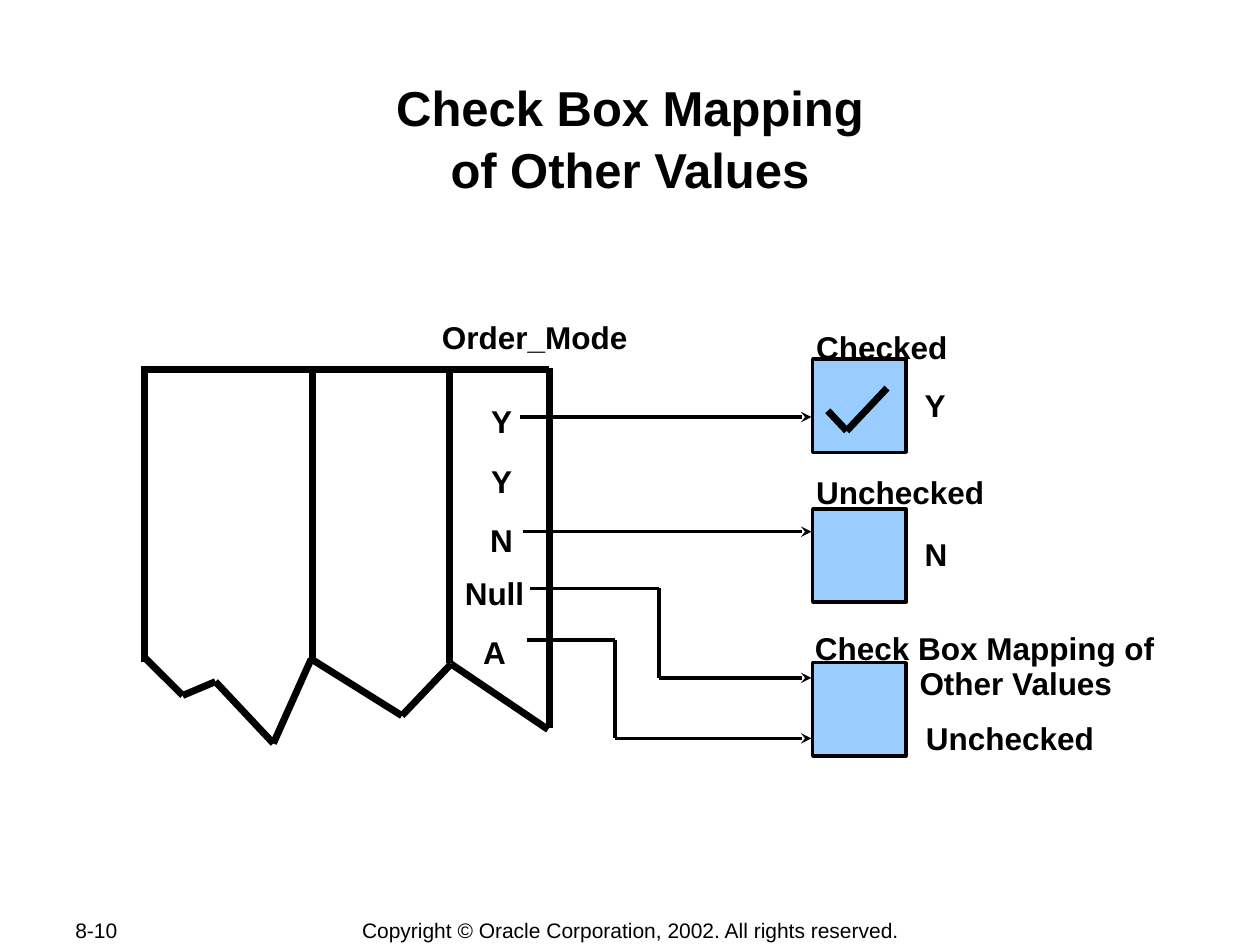
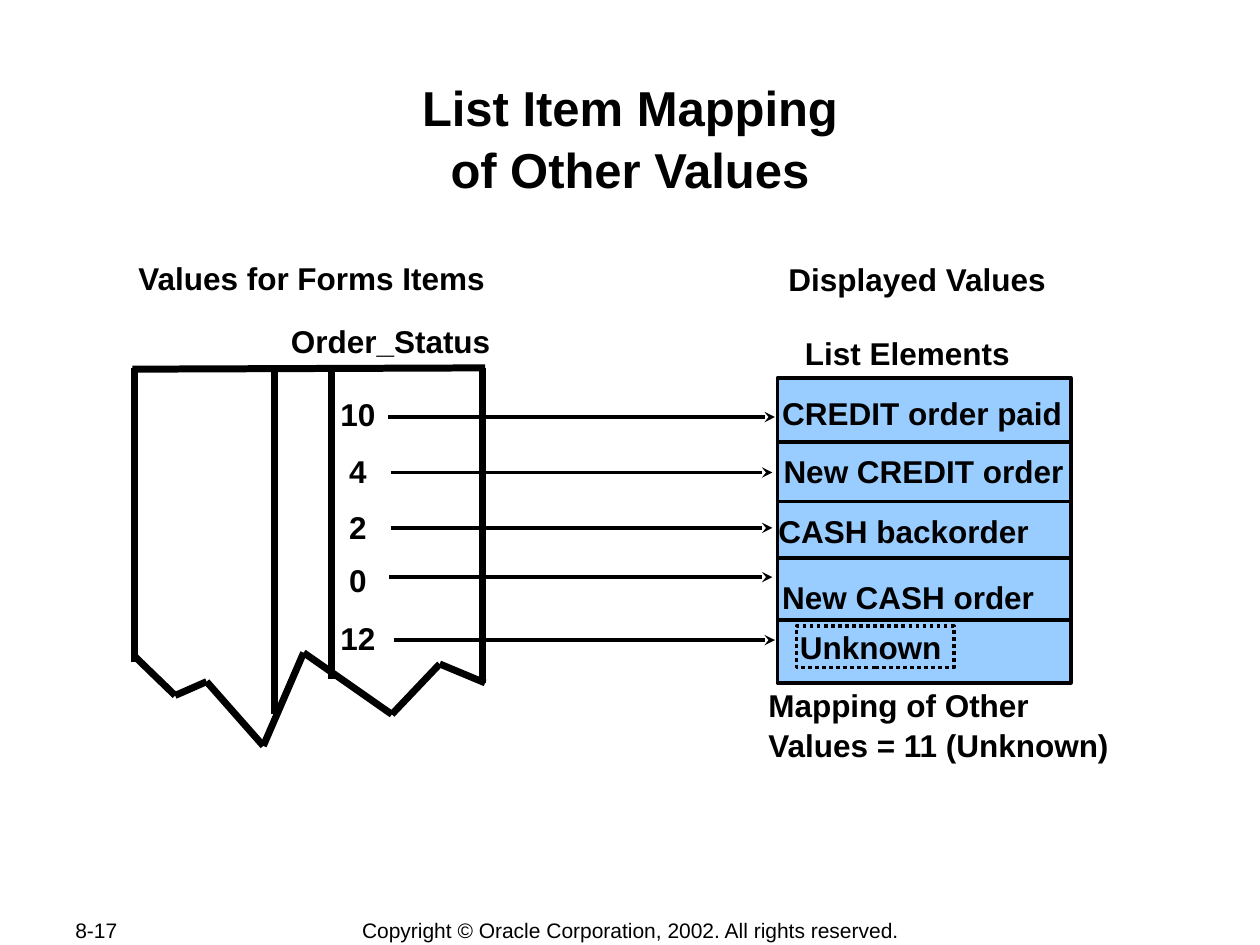
from itertools import pairwise

from pptx import Presentation
from pptx.dml.color import RGBColor
from pptx.enum.dml import MSO_LINE_DASH_STYLE as Dash
from pptx.enum.shapes import MSO_CONNECTOR as Connector, MSO_SHAPE as Shape
from pptx.enum.text import MSO_ANCHOR as Anchor, MSO_AUTO_SIZE as AutoSize, PP_ALIGN as Align
from pptx.oxml.ns import qn
from pptx.util import Inches, Pt

COLORS = {"ink": "000000", "box": "99CCFF"}
FONT = "Arial"
COLUMNS, ROWS = 100, 75
THICK, THIN = 4, 2
LINE_SPACING = 1.05
COPYRIGHT = "Copyright © Oracle Corporation, 2002. All rights reserved."


class MappingDeck:
    """Draws mapping diagrams in one style on a grid of COLUMNS by ROWS."""

    def __init__(self):
        self.presentation = Presentation()
        self.presentation.slide_width = Inches(10)
        self.presentation.slide_height = Inches(7.5)
        self.slide = None

    def x(self, columns):
        return round(self.presentation.slide_width * columns / COLUMNS)

    def y(self, rows):
        return round(self.presentation.slide_height * rows / ROWS)

    def frame(self, left, top, width, height):
        return self.x(left), self.y(top), self.x(width), self.y(height)

    def color(self, name):
        return RGBColor.from_string(COLORS[name])

    def style(self, paragraph, size, bold, align):
        paragraph.alignment = align
        paragraph.font.name = FONT
        paragraph.font.size = Pt(size)
        paragraph.font.bold = bold
        paragraph.font.color.rgb = self.color("ink")

    def start_slide(self, title, number):
        layout = self.presentation.slide_layouts[5]
        self.slide = self.presentation.slides.add_slide(layout)
        shape = self.slide.shapes.title
        shape.left, shape.top, shape.width, shape.height = self.frame(10, 5.8, 80, 9.6)
        text_frame = shape.text_frame
        text_frame.margin_left = text_frame.margin_right = Inches(0.01)
        text_frame.margin_top = text_frame.margin_bottom = Inches(0.01)
        text_frame.auto_size = AutoSize.NONE
        text_frame.vertical_anchor = Anchor.TOP
        text_frame.text = title
        paragraph = text_frame.paragraphs[0]
        paragraph.line_spacing = LINE_SPACING
        paragraph.space_before = Pt(0)
        self.style(paragraph, 28, True, Align.CENTER)
        self.footer(number, 5, 10.6, Align.JUSTIFY)
        self.footer(COPYRIGHT, 27.6, 44.9, Align.CENTER)

    def text_box(self, left, top, width, height):
        text_frame = self.slide.shapes.add_textbox(*self.frame(left, top, width, height)).text_frame
        text_frame.word_wrap = False
        return text_frame

    def footer(self, text, left, width, align):
        text_frame = self.text_box(left, 72.8, width, 2)
        text_frame.vertical_anchor = Anchor.MIDDLE
        text_frame.text = text
        self.style(text_frame.paragraphs[0], 12, False, align)

    def label(self, text, left, top, width, height=4, align=Align.LEFT, gap=0):
        text_frame = self.text_box(left, top, width, height)
        text_frame.text = text
        for index, paragraph in enumerate(text_frame.paragraphs):
            paragraph.line_spacing = LINE_SPACING
            paragraph.space_before = Pt(gap if index else 0)
            self.style(paragraph, 18, True, align)

    def box(self, left, top, width, height, fill=None, dash=None):
        shape = self.slide.shapes.add_shape(Shape.RECTANGLE, *self.frame(left, top, width, height))
        shape.shadow.inherit = False
        if fill:
            shape.fill.solid()
            shape.fill.fore_color.rgb = self.color(fill)
        else:
            shape.fill.background()
        shape.line.color.rgb = self.color("ink")
        shape.line.width = Pt(THIN)
        if dash:
            shape.line.dash_style = dash

    def line(self, start, end, width=THIN, arrow=False):
        connector = self.slide.shapes.add_connector(
            Connector.STRAIGHT, self.x(start[0]), self.y(start[1]), self.x(end[0]), self.y(end[1]))
        connector.line.color.rgb = self.color("ink")
        connector.line.width = Pt(width)
        properties = connector._element.spPr
        if arrow:
            outline = properties.find(qn("a:ln"))
            outline.append(outline.makeelement(qn("a:tailEnd"), {"type": "stealth"}))
        properties.append(properties.makeelement(qn("a:effectLst"), {}))

    def polyline(self, points, width=THIN, arrow=False):
        segments = list(pairwise(points))
        for index, (start, end) in enumerate(segments):
            self.line(start, end, width, arrow and index == len(segments) - 1)

    def torn_table(self, top_edge, dividers, torn_edge):
        self.polyline(top_edge, THICK)
        for column, bottom in dividers:
            self.line((column, 29.2), (column, bottom), THICK)
        self.polyline(torn_edge, THICK)


def check_box_slide(deck):
    deck.start_slide("Check Box Mapping\vof Other Values", "8-10")
    deck.torn_table(
        [(11.2, 29.3), (43.6, 29.3)],
        [(11.5, 52.5), (24.8, 52.6), (35.7, 52.6), (43.6, 57.8)],
        [(11.4, 52.1), (14.5, 55.2), (17.1, 54.1), (21.7, 59),
         (24.7, 52.3), (31.9, 56.8), (35.8, 52.7), (43.5, 57.9)])
    for top in (28.5, 40.4, 52.6):
        deck.box(64.5, top, 7.4, 7.4, "box")
    deck.polyline([(65.7, 32.6), (67.2, 34.2), (70.4, 30.8)], THICK)

    deck.label("Y\nY\nN", 37.9, 31.3, 3.8, 13.1, Align.CENTER, 11.2)
    deck.label("Null\nA", 35.9, 44.9, 6.7, 8.6, Align.CENTER, 11.2)
    for text, left, top, width in (
            ("Order_Mode", 34.1, 24.6, 16.7),
            ("Checked", 63.8, 25.4, 12.4),
            ("Unchecked", 63.8, 36.9, 15.4),
            ("Check Box Mapping of", 63.7, 49.3, 29),
            ("Other Values", 72, 52.1, 17.4),
            ("Unchecked", 72.5, 56.4, 15.4),
            ("Y", 72.4, 30, 3.7),
            ("N", 72.4, 41.8, 3.8)):
        deck.label(text, left, top, width)

    box_edge = 64.4
    for route in (
            [(41.3, 33.1), (box_edge, 33.1)],
            [(41.5, 42.2), (box_edge, 42.2)],
            [(42.1, 46.7), (52.3, 46.7), (52.3, 53.8), (box_edge, 53.8)],
            [(41.8, 50.8), (48.8, 50.8), (48.8, 58.6), (box_edge, 58.6)]):
        deck.polyline(route, arrow=True)


def list_item_slide(deck):
    deck.start_slide("List Item Mapping\vof Other Values", "8-17")
    deck.torn_table(
        [(10.5, 29.3), (38.5, 29.2)],
        [(10.7, 52.5), (21.8, 56.7), (26.3, 53.9), (38.3, 54.2)],
        [(10.7, 52.1), (13.9, 55.2), (16.4, 54.1), (20.9, 59.2),
         (24.1, 51.8), (31.1, 56.7), (34.9, 52.7), (38.5, 54.2)])

    list_left, list_width = 61.7, 23.3
    deck.box(list_left, 30, list_width, 24.2, "box")
    for row in (35.1, 39.8, 44.3, 49.2):
        deck.line((list_left, row), (list_left + list_width, row))
    deck.box(63.2, 49.7, 12.5, 3.3, dash=Dash.ROUND_DOT)

    for value, top, start, row, end in (
            ("10", 30.7, 30.8, 33.1, 61.5),
            ("4", 35.2, 31, 37.5, 61.3),
            ("2", 39.7, 31, 41.9, 61.3),
            ("0", 43.9, 30.9, 45.8, 61.3),
            ("12", 48.5, 31.3, 50.8, 61.5)):
        deck.label(value, 26, top, 4.8, align=Align.CENTER)
        deck.line((start, row), (end, row), arrow=True)

    for text, left, top, width in (
            ("Values for Forms Items", 10, 19.9, 29.7),
            ("Order_Status", 22.1, 24.9, 17.9),
            ("Displayed Values", 61.6, 20, 22.6),
            ("List Elements", 62.9, 25.9, 18.3),
            ("CREDIT order paid", 61.1, 30.6, 24.2),
            ("New CREDIT order", 61.2, 35.2, 24.2),
            ("CASH backorder", 60.8, 40, 21.9),
            ("New CASH order", 61.1, 45.2, 22),
            ("Unknown", 62.5, 49.2, 13.3)):
        deck.label(text, left, top, width)
    deck.label("Mapping of Other\nValues = 11 (Unknown)", 60, 53.8, 29.3, 7)


def main():
    deck = MappingDeck()
    check_box_slide(deck)
    list_item_slide(deck)
    deck.presentation.save("out.pptx")


if __name__ == "__main__":
    main()
